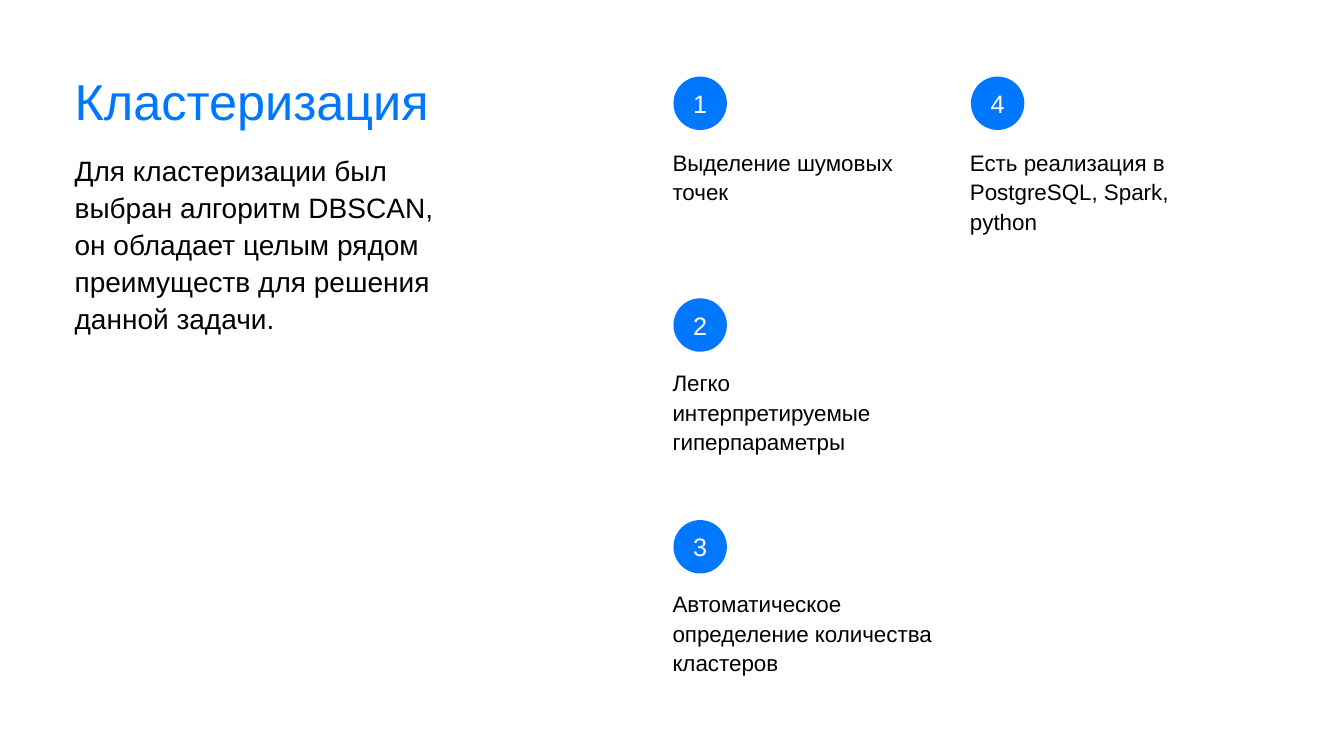
import pptx
import pptx.util
import pptx.dml.color
import pptx.enum.shapes
import pptx.enum.text

Inches = pptx.util.Inches
ALIGN = pptx.enum.text.PP_ALIGN
ANCHOR = pptx.enum.text.MSO_ANCHOR
BLUE, BLACK, WHITE = "0077FF", "000000", "FFFFFF"


def color(value):
    return pptx.dml.color.RGBColor.from_string(value)


def write(shape, text, size, ink, spacing, margins, align=ALIGN.LEFT, anchor=ANCHOR.TOP):
    frame = shape.text_frame
    left, top, right, bottom = [Inches(margin) for margin in margins]
    frame_format = {
        "word_wrap": True, "vertical_anchor": anchor,
        "margin_left": left, "margin_top": top,
        "margin_right": right, "margin_bottom": bottom,
    }
    for name, value in frame_format.items():
        setattr(frame, name, value)
    paragraph = frame.paragraphs[0]
    paragraph.alignment = align
    paragraph.line_spacing = spacing
    run = paragraph.add_run()
    run.text = text
    for name, value in {"name": "Arial", "size": pptx.util.Pt(size)}.items():
        setattr(run.font, name, value)
    run.font.color.rgb = color(ink)


presentation = pptx.Presentation()
presentation.slide_width = Inches(13.33)
presentation.slide_height = Inches(7.5)
slide = presentation.slides.add_slide(presentation.slide_layouts[6])
slide.background.fill.solid()
slide.background.fill.fore_color.rgb = color(WHITE)

intro = [
    ("Кластеризация", 0.76, 5.65, 0.7, 36, BLUE, 0.9),
    ("Для кластеризации был выбран алгоритм DBSCAN, он обладает целым рядом "
     "преимуществ для решения данной задачи.", 1.49, 3.82, 3.93, 20, BLACK, 1.1),
]
for text, top, width, height, size, ink, spacing in intro:
    box = slide.shapes.add_textbox(Inches(0.74), Inches(top), Inches(width), Inches(height))
    write(box, text, size, ink, spacing, (0, 0, 0, 0))

advantages = [
    "Выделение шумовых точек",
    "Легко интерпретируемые гиперпараметры",
    "Автоматическое определение количества кластеров",
    "Есть реализация в PostgreSQL, Spark, python",
]
rows_per_column = 3
column_step, badge_step, caption_step = 2.95, 2.2, 2.19
badge_size = Inches(0.53)

for index, advantage in enumerate(advantages):
    column, row = divmod(index, rows_per_column)
    left = 6.67 + column * column_step

    caption = slide.shapes.add_textbox(
        Inches(left), Inches(1.4 + row * caption_step), Inches(2.69), Inches(1.35))
    write(caption, advantage, 16, BLACK, 1.1, (0, 0.05, 0.1, 0.05))

    badge = slide.shapes.add_shape(
        pptx.enum.shapes.MSO_SHAPE.OVAL,
        Inches(left + 0.01), Inches(0.76 + row * badge_step), badge_size, badge_size)
    badge.shadow.inherit = False
    badge.fill.solid()
    badge.fill.fore_color.rgb = color(BLUE)
    badge.line.fill.background()
    write(badge, str(index + 1), 18, WHITE, 1.0, (0.1, 0.05, 0.1, 0.05),
          ALIGN.CENTER, ANCHOR.MIDDLE)

presentation.save("out.pptx")
